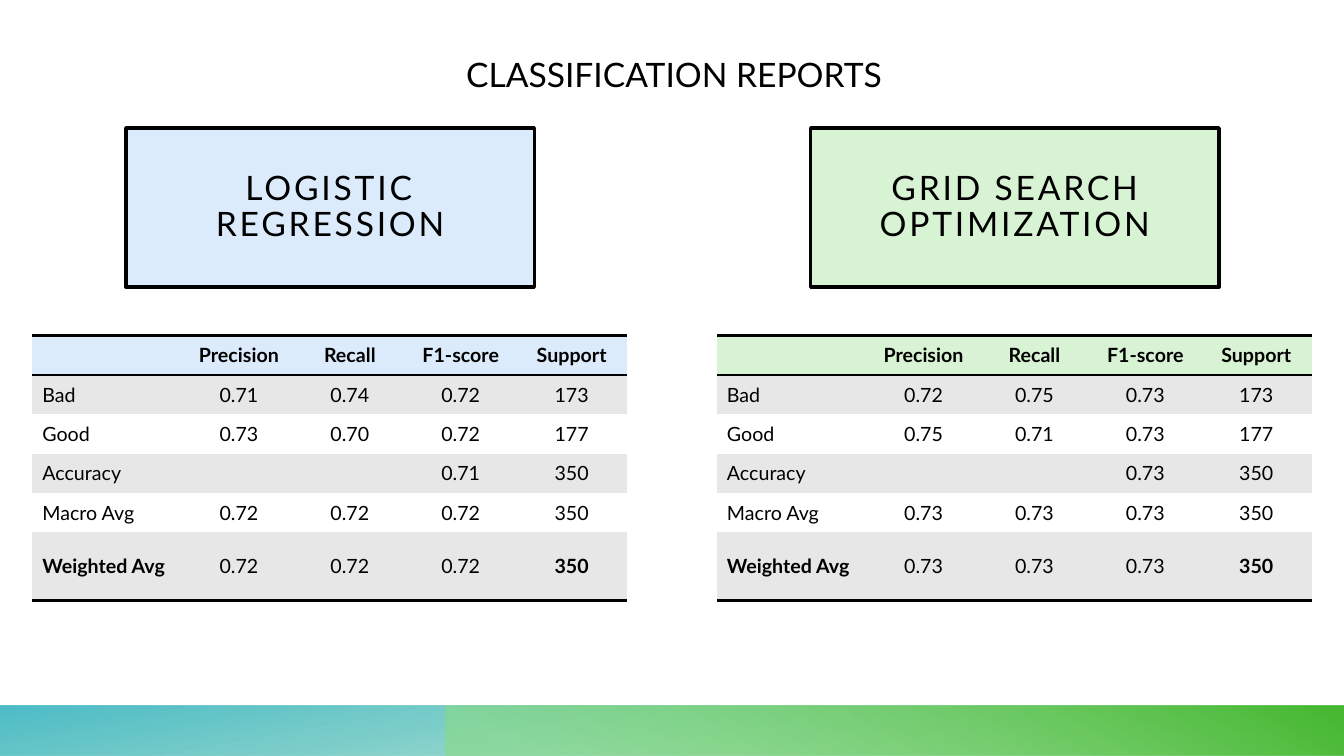
from lxml import etree
from pptx import Presentation
from pptx.dml.color import RGBColor
from pptx.enum import shapes, text
from pptx.oxml import parse_xml
from pptx.oxml.ns import nsdecls, qn
from pptx.util import Inches, Pt

BLACK = RGBColor(0x00, 0x00, 0x00)
WHITE = RGBColor(0xFF, 0xFF, 0xFF)
GREY = RGBColor(0xE7, 0xE7, 0xE7)
PALE_BLUE = RGBColor(0xDC, 0xEB, 0xFB)
PALE_GREEN = RGBColor(0xD8, 0xF3, 0xD3)
TEAL = RGBColor(0x2E, 0xB1, 0xBF)
SEA_GREEN = RGBColor(0x34, 0xB4, 0x8B)
LIGHT_GREEN = RGBColor(0x8B, 0xDC, 0x7C)
GREEN = RGBColor(0x46, 0xB8, 0x31)

FONT = "Lato"
PLAIN_TABLE = "{2D5ABB26-0587-4C30-8999-92F81FD0307C}"
COLUMN_WIDTHS = [1.5, 1.1, 1.1, 1.1, 1.1]
ROW_HEIGHTS = [0.39] * 5 + [0.68]
HEADINGS = ["", "Precision", "Recall", "F1-score", "Support"]

LOGISTIC_SCORES = [
    ["Bad", "0.71", "0.74", "0.72", "173"],
    ["Good", "0.73", "0.70", "0.72", "177"],
    ["Accuracy", "", "", "0.71", "350"],
    ["Macro Avg", "0.72", "0.72", "0.72", "350"],
    ["Weighted Avg", "0.72", "0.72", "0.72", "350"],
]
GRID_SEARCH_SCORES = [
    ["Bad", "0.72", "0.75", "0.73", "173"],
    ["Good", "0.75", "0.71", "0.73", "177"],
    ["Accuracy", "", "", "0.73", "350"],
    ["Macro Avg", "0.73", "0.73", "0.73", "350"],
    ["Weighted Avg", "0.73", "0.73", "0.73", "350"],
]


def style_paragraph(paragraph, size, align, bold=False, spacing=0):
    paragraph.alignment = align
    for run in paragraph.runs:
        run.font.name, run.font.size, run.font.bold = FONT, Pt(size), bold
        run.font.color.rgb = BLACK
        if spacing:
            run.font._element.set("spc", str(spacing * 100))


def add_title(slide, left, top, width, height):
    title = slide.shapes.title
    title.left, title.top = Inches(left), Inches(top)
    title.width, title.height = Inches(width), Inches(height)
    title.text_frame.text = "CLASSIFICATION REPORTS"
    title.text_frame.vertical_anchor = text.MSO_ANCHOR.MIDDLE
    style_paragraph(title.text_frame.paragraphs[0], 24, text.PP_ALIGN.CENTER)


def add_footer_band(slide, left, top, width, height, stops, angle, rotation=0):
    """Stops are (position %, colour, opacity %)."""
    band = slide.shapes.add_shape(
        shapes.MSO_SHAPE.RECTANGLE, Inches(left), Inches(top), Inches(width), Inches(height))
    band.shadow.inherit = False
    band.line.fill.background()
    band.rotation = rotation
    properties = band._element.spPr
    properties.find(qn("a:xfrm")).set("flipH", "1")
    stop_xml = "".join(
        f'<a:gs pos="{position * 1000}"><a:srgbClr val="{colour}">'
        f'<a:alpha val="{opacity * 1000}"/></a:srgbClr></a:gs>'
        for position, colour, opacity in stops)
    properties.find(qn("a:prstGeom")).addnext(parse_xml(
        f'<a:gradFill {nsdecls("a")} rotWithShape="1"><a:gsLst>{stop_xml}</a:gsLst>'
        f'<a:lin ang="{angle * 60000}" scaled="0"/></a:gradFill>'))


def add_model_box(slide, left, top, lines, colour):
    box = slide.shapes.add_shape(
        shapes.MSO_SHAPE.RECTANGLE, Inches(left), Inches(top), Inches(4.05), Inches(1.58))
    box.shadow.inherit = False
    box.fill.solid()
    box.fill.fore_color.rgb = colour
    box.line.color.rgb = BLACK
    box.line.width = Pt(2.5)
    frame = box.text_frame
    frame.word_wrap = True
    frame.vertical_anchor = text.MSO_ANCHOR.MIDDLE
    frame.margin_left = frame.margin_right = Inches(0.2)
    frame.margin_top = frame.margin_bottom = Inches(0.2)
    frame.text = lines
    for paragraph in frame.paragraphs:
        paragraph.line_spacing = 0.9
        style_paragraph(paragraph, 24, text.PP_ALIGN.CENTER, spacing=2)


def add_rule(cell, side):
    cell._tc.get_or_add_tcPr().insert(0, parse_xml(
        f'<a:{side} {nsdecls("a")} w="{Pt(2)}"><a:solidFill>'
        f'<a:srgbClr val="{BLACK}"/></a:solidFill></a:{side}>'))


def add_score_table(slide, left, top, scores, header_colour):
    rows = [HEADINGS] + scores
    table = slide.shapes.add_table(
        len(rows), len(HEADINGS), Inches(left), Inches(top),
        Inches(sum(COLUMN_WIDTHS)), Inches(sum(ROW_HEIGHTS))).table
    table._tbl.tblPr.find(qn("a:tableStyleId")).text = PLAIN_TABLE
    for column, width in zip(table.columns, COLUMN_WIDTHS):
        column.width = Inches(width)
    last = len(rows) - 1
    for r, values in enumerate(rows):
        table.rows[r].height = Inches(ROW_HEIGHTS[r])
        for c, value in enumerate(values):
            cell = table.cell(r, c)
            cell.text = value
            cell.vertical_anchor = text.MSO_ANCHOR.MIDDLE
            cell.margin_top = cell.margin_bottom = 0
            cell.fill.solid()
            cell.fill.fore_color.rgb = header_colour if r == 0 else (GREY if r % 2 else WHITE)
            bold = r == 0 or (r == last and c in (0, len(values) - 1))
            align = text.PP_ALIGN.CENTER if c else text.PP_ALIGN.LEFT
            style_paragraph(cell.text_frame.paragraphs[0], 14, align, bold)
            # Rules above and below the header, and below the last row
            if r in (0, last):
                add_rule(cell, "lnB")
            if r == 0:
                add_rule(cell, "lnT")


def add_report(slide, left, top, lines, scores, colour):
    add_model_box(slide, left + 0.93, top, lines, colour)
    add_score_table(slide, left, top + 2.06, scores, colour)


def main():
    prs = Presentation()
    prs.slide_width, prs.slide_height = Inches(13.33), Inches(7.5)
    slide = prs.slides.add_slide(prs.slide_layouts[5])

    # Footer
    add_footer_band(slide, 0, 7, 13.33, 0.5,
                    [(14, SEA_GREEN, 28), (100, TEAL, 85)], 100, rotation=180)
    add_footer_band(slide, 4.42, 7, 8.92, 0.5,
                    [(9, LIGHT_GREEN, 55), (99, GREEN, 100)], 240)

    # Title and the two reports
    add_title(slide, 2.74, 0.48, 7.89, 0.5)
    add_report(slide, 0.32, 1.27, "LOGISTIC REGRESSION", LOGISTIC_SCORES, PALE_BLUE)
    add_report(slide, 7.11, 1.27, "GRID SEARCH\nOPTIMIZATION", GRID_SEARCH_SCORES, PALE_GREEN)

    prs.save("out.pptx")


if __name__ == "__main__":
    main()
